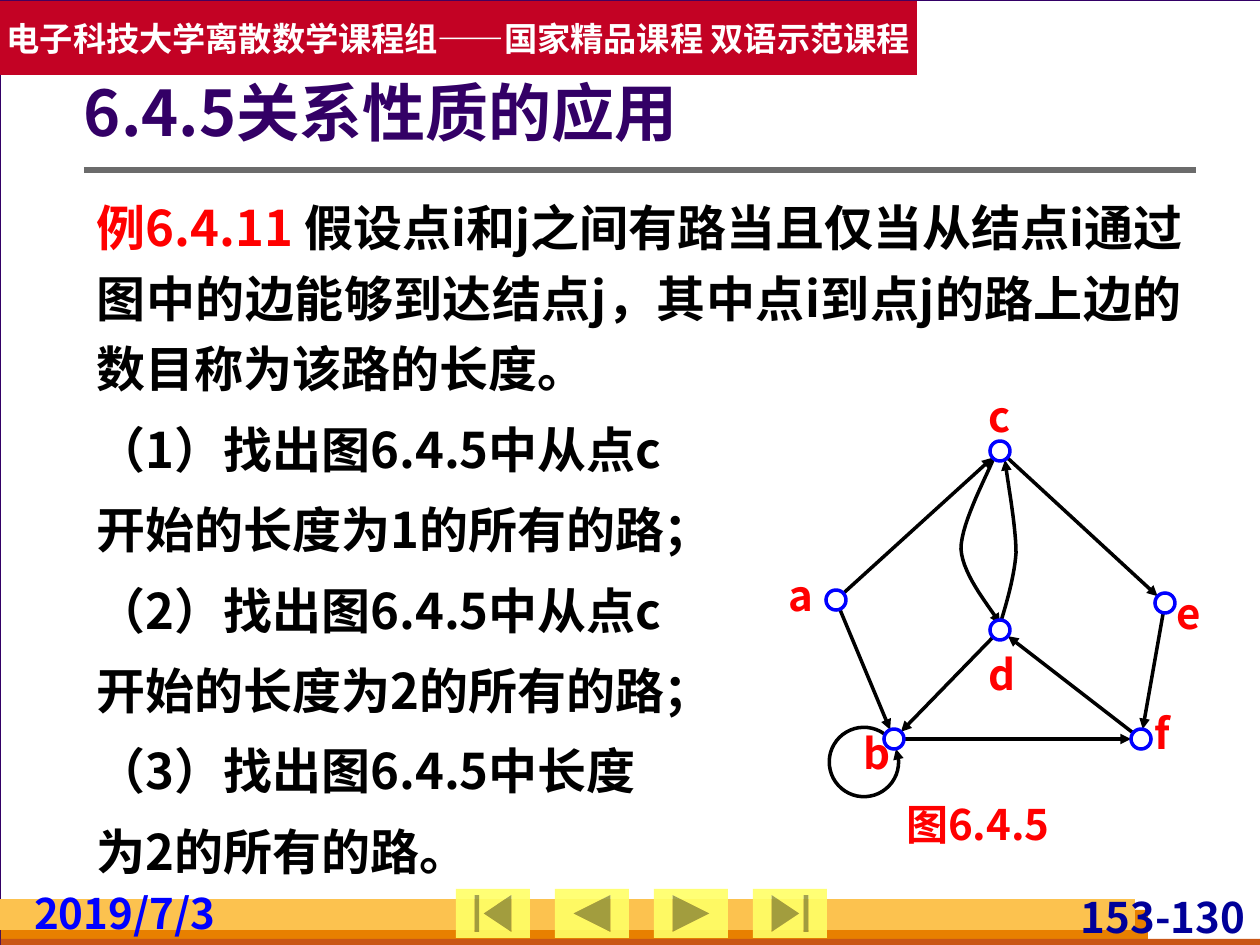
from math import atan2, cos, hypot, pi, sin

from lxml.etree import SubElement
from pptx import Presentation
from pptx.dml.color import RGBColor
from pptx.enum.shapes import MSO_CONNECTOR, MSO_SHAPE
from pptx.enum.text import MSO_ANCHOR, PP_ALIGN
from pptx.oxml.ns import qn
from pptx.util import Emu, Pt

FONT = "Noto Sans CJK SC"
COLORS = {
    "backdrop": "D8DADA", "white": "FFFFFF", "black": "000000", "red": "FF0000",
    "blue": "0000FF", "navy": "000099", "purple": "330066", "banner": "C30224",
    "rule": "6B6B6B", "orange": "E88000", "rust": "C95616", "gold": "FCC24F",
    "button": "FFFF66",
}
NODE_RADIUS = 10
NODES = {"a": (836, 600), "b": (894, 739), "c": (1000, 451),
         "d": (1000, 630), "e": (1165, 603), "f": (1141, 739)}
LABELS = {"a": (789, 570), "b": (863, 728), "c": (988, 391),
          "d": (988, 649), "e": (1176, 588), "f": (1155, 708)}
STRAIGHT_EDGES = ["ac", "ab", "ce", "db", "fd", "bf", "ef"]
# Each curved edge is a pair of cubic Bezier segments
CURVED_EDGES = [
    [[(1000, 625), (1003, 614), (1014, 581), (1016, 553)],
     [(1016, 553), (1016, 525), (1007, 479), (1005, 460)]],
    [[(995, 455), (990, 470), (961, 522), (961, 549)],
     [(961, 549), (963, 577), (992, 609), (1000, 624)]],
]
QUESTIONS = ["（1）找出图6.4.5中从点c", "开始的长度为1的所有的路；",
             "（2）找出图6.4.5中从点c", "开始的长度为2的所有的路；",
             "（3）找出图6.4.5中长度", "为2的所有的路。"]


def px(value):
    return Emu(round(value * 914400 / 126))


def rgb(color):
    return RGBColor.from_string(COLORS[color])


def style_line(line, color, width):
    line.color.rgb = rgb(color)
    line.width = Pt(width)


def add_arrowhead(shape):
    SubElement(shape.line._get_or_add_ln(), qn("a:tailEnd"), type="triangle")


def add_block(slide, kind, box, fill, line=None, width=1.0, alpha=None):
    block = slide.shapes.add_shape(kind, *map(px, box))
    block.shadow.inherit = False
    block.fill.solid()
    block.fill.fore_color.rgb = rgb(fill)
    if alpha:
        fill_color = block.fill._xPr.find(qn("a:solidFill"))[0]
        SubElement(fill_color, qn("a:alpha"), val=str(alpha * 1000))
    if line:
        style_line(block.line, line, width)
    else:
        block.line.fill.background()
    return block


def add_run(paragraph, text, size, color):
    run = paragraph.add_run()
    run.text = text
    run.font.size = Pt(size)
    run.font.bold = True
    run.font.name = FONT
    run.font.color.rgb = rgb(color)
    SubElement(run._r.get_or_add_rPr(), qn("a:ea"), typeface=FONT)


def set_margins(frame, left, top, right, bottom):
    frame.margin_left, frame.margin_top = px(left), px(top)
    frame.margin_right, frame.margin_bottom = px(right), px(bottom)


def add_text(slide, box, text, size, color, align=PP_ALIGN.LEFT, side=0):
    frame = slide.shapes.add_textbox(*map(px, box)).text_frame
    frame.word_wrap = True
    set_margins(frame, side, 0, side, 0)
    frame.paragraphs[0].alignment = align
    add_run(frame.paragraphs[0], text, size, color)
    return frame


def add_line(slide, start, end, color, width):
    line = slide.shapes.add_connector(
        MSO_CONNECTOR.STRAIGHT, *map(px, (*start, *end)))
    SubElement(line._element.spPr, qn("a:effectLst"))
    style_line(line.line, color, width)
    return line


def add_edge(slide, tail, head):
    """Arrow from a node's centre to the rim of the next node."""
    (x1, y1), (x2, y2) = NODES[tail], NODES[head]
    part = 1 - NODE_RADIUS / hypot(x2 - x1, y2 - y1)
    end = (x1 + (x2 - x1) * part, y1 + (y2 - y1) * part)
    add_arrowhead(add_line(slide, (x1, y1), end, "black", 2))


def add_curve(slide, points):
    points = [(px(x), px(y)) for x, y in points]
    builder = slide.shapes.build_freeform(*points[0])
    builder.add_line_segments(points[1:], close=False)
    curve = builder.convert_to_shape()
    curve.shadow.inherit = False
    curve.fill.background()
    style_line(curve.line, "black", 2)
    add_arrowhead(curve)


def bezier_points(segment, steps=16):
    weights = (1, 3, 3, 1)
    for step in range(steps + 1):
        t = step / steps
        yield tuple(
            sum(w * (1 - t) ** (3 - i) * t ** i * segment[i][axis]
                for i, w in enumerate(weights))
            for axis in (0, 1))


def loop_points(center, start, end, steps=48):
    """Counterclockwise circle from start round to end."""
    cx, cy = center
    radius = hypot(start[0] - cx, start[1] - cy)
    first = atan2(start[1] - cy, start[0] - cx)
    last = atan2(end[1] - cy, end[0] - cx) - 2 * pi
    for step in range(steps + 1):
        angle = first + (last - first) * step / steps
        yield cx + radius * cos(angle), cy + radius * sin(angle)


def add_frame(slide):
    rect = MSO_SHAPE.RECTANGLE
    add_block(slide, rect, (0, 0, 1261, 945), "white", "purple", 0.75)
    # Course banner
    banner = add_block(slide, rect, (0, 1, 917, 74), "banner").text_frame
    banner.word_wrap = False
    banner.vertical_anchor = MSO_ANCHOR.MIDDLE
    banner.paragraphs[0].alignment = PP_ALIGN.CENTER
    add_run(banner.paragraphs[0],
            "电子科技大学离散数学课程组——国家精品课程 双语示范课程", 19, "white")
    # Footer bands and page number
    add_block(slide, rect, (1, 910, 1147, 35), "orange")
    add_block(slide, rect, (1, 939, 1260, 10), "rust")
    add_block(slide, rect, (0, 899, 1135, 31), "gold")
    add_text(slide, (1067, 892, 183, 50), "153-130", 24, "navy", PP_ALIGN.RIGHT, 5)
    add_line(slide, (84, 170), (1196, 170), "rule", 3)
    # Navigation buttons
    buttons = [MSO_SHAPE.ACTION_BUTTON_BEGINNING,
               MSO_SHAPE.ACTION_BUTTON_BACK_OR_PREVIOUS,
               MSO_SHAPE.ACTION_BUTTON_FORWARD_OR_NEXT,
               MSO_SHAPE.ACTION_BUTTON_END]
    for i, button in enumerate(buttons):
        add_block(slide, button, (456 + 99 * i, 889, 74, 49), "button", alpha=90)
    add_text(slide, (29, 888, 208, 50), "2019/7/3", 24, "blue", side=5)


def add_exercise(slide):
    frame = add_text(slide, (84, 180, 1111, 719), "例6.4.11 ", 28, "red")
    set_margins(frame, 13, 6, 13, 6)
    add_run(frame.paragraphs[0],
            "假设点i和j之间有路当且仅当从结点i通过图中的边能够到达结点j，"
            "其中点i到点j的路上边的数目称为该路的长度。", 28, "black")
    for question in QUESTIONS:
        paragraph = frame.add_paragraph()
        paragraph.space_before = Pt(5.6)
        add_run(paragraph, question, 28, "black")
    for paragraph in frame.paragraphs:
        paragraph.alignment = PP_ALIGN.JUSTIFY
        paragraph.line_spacing = 1.2


def add_graph(slide):
    add_curve(slide, loop_points((864, 762), (893, 743), (896, 749)))
    for segments in CURVED_EDGES:
        add_curve(slide, [p for s in segments for p in bezier_points(s)])
    for tail, head in STRAIGHT_EDGES:
        add_edge(slide, tail, head)
    for name, (x, y) in LABELS.items():
        add_text(slide, (x, y, 30, 50), name, 24, "red")
    add_text(slide, (906, 799, 183, 50), "图6.4.5", 24, "red")
    for x, y in NODES.values():
        box = (x - NODE_RADIUS, y - NODE_RADIUS, 2 * NODE_RADIUS, 2 * NODE_RADIUS)
        add_block(slide, MSO_SHAPE.OVAL, box, "white", "blue", 2)


def main():
    deck = Presentation()
    deck.slide_width, deck.slide_height = px(1260), px(945)
    slide = deck.slides.add_slide(deck.slide_layouts[6])
    slide.background.fill.solid()
    slide.background.fill.fore_color.rgb = rgb("backdrop")
    add_frame(slide)
    add_exercise(slide)
    # Heading
    heading = add_text(slide, (84, 76, 1111, 81), "6.4.5关系性质的应用", 36, "purple")
    set_margins(heading, 0, 6, 13, 6)
    heading.vertical_anchor = MSO_ANCHOR.MIDDLE
    heading.paragraphs[0].line_spacing = 0.9
    add_graph(slide)
    deck.save("out.pptx")


if __name__ == "__main__":
    main()
